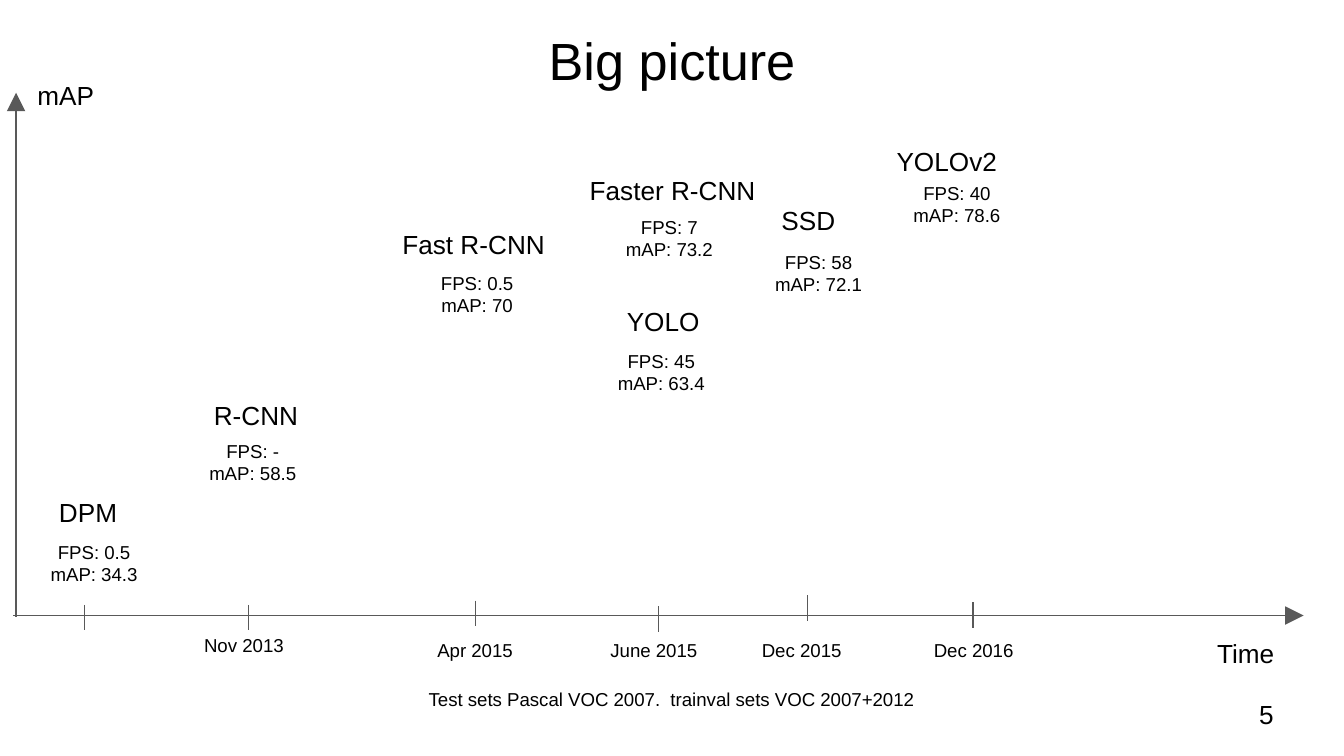
from dataclasses import dataclass

from lxml import etree
from pptx import Presentation
from pptx import util as u
from pptx.dml.color import RGBColor
from pptx.enum import shapes, text
from pptx.oxml import ns

SCALE = 9144
INSET = 10
FONT = "Arial"
COLOURS = {"ink": "000000", "axis": "595959", "paper": "FFFFFF"}
LEFT, CENTRE, RIGHT = text.PP_ALIGN.LEFT, text.PP_ALIGN.CENTER, text.PP_ALIGN.RIGHT
TOP, MIDDLE = text.MSO_ANCHOR.TOP, text.MSO_ANCHOR.MIDDLE


@dataclass(frozen=True)
class Frame:
    left: int
    top: int
    width: int
    height: int


@dataclass(frozen=True)
class Label:
    words: str
    frame: Frame
    size: int = 10
    align: text.PP_ALIGN = CENTRE
    anchor: text.MSO_ANCHOR = TOP
    top_inset: int = INSET


@dataclass(frozen=True)
class Detector:
    name: str
    fps: str
    precision: str
    name_frame: Frame
    stats_left: int
    stats_top: int


@dataclass(frozen=True)
class Line:
    x1: int
    y1: int
    x2: int
    y2: int
    arrow: bool = False


TITLE = Label("Big picture", Frame(34, 11, 932, 63), 28)

DETECTORS = [
    Detector("Fast R-CNN", "0.5", "70", Frame(281, 160, 143, 43), 266, 194),
    Detector("R-CNN", "-", "58.5", Frame(119, 287, 143, 50), 99, 319),
    Detector("Faster R-CNN", "7", "73.2", Frame(424, 120, 153, 73), 409, 152),
    Detector("DPM", "0.5", "34.3", Frame(-6, 359, 143, 43), -19, 394),
    Detector("YOLO", "45", "63.4", Frame(422, 217, 143, 43), 403, 252),
    Detector("SSD", "58", "72.1", Frame(530, 142, 143, 43), 520, 178),
    Detector("YOLOv2", "40", "78.6", Frame(633, 98, 143, 43), 623, 127),
]

LABELS = [
    Label("5", Frame(927, 510, 60, 43), 14, LEFT, MIDDLE),
    Label("mAP", Frame(18, 49, 90, 43), 14, LEFT),
    Label("Time", Frame(868, 448, 90, 50), 14, RIGHT, top_inset=26),
    Label("Nov 2013", Frame(105, 462, 153, 34)),
    Label("Apr 2015", Frame(277, 465, 153, 34)),
    Label("June 2015", Frame(410, 465, 153, 34)),
    Label("Dec 2015", Frame(520, 465, 153, 34)),
    Label("Dec 2016", Frame(685, 449, 90, 50), align=LEFT, top_inset=26),
    Label("Test sets Pascal VOC 2007.  trainval sets VOC 2007+2012",
          Frame(188, 502, 623, 43)),
]

AXES = [Line(10, 458, 970, 458, True), Line(12, 459, 12, 69, True)]
TICK_HEIGHT = 19
TICKS = [(63, 450), (185, 450), (354, 447), (490, 451), (601, 443), (724, 448)]


def px(value: int) -> u.Emu:
    return u.Emu(value * SCALE)


def colour(name: str) -> RGBColor:
    return RGBColor.from_string(COLOURS[name])


def fill_box(box, label: Label) -> None:
    frame = label.frame
    box.left, box.top = px(frame.left), px(frame.top)
    box.width, box.height = px(frame.width), px(frame.height)
    body = box.text_frame
    body.word_wrap = True
    body.auto_size = text.MSO_AUTO_SIZE.NONE
    body.vertical_anchor = label.anchor
    body.margin_left = body.margin_right = body.margin_bottom = px(INSET)
    body.margin_top = px(label.top_inset)
    for index, words in enumerate(label.words.split("\n")):
        para = body.add_paragraph() if index else body.paragraphs[0]
        para.alignment = label.align
        para.space_before = u.Pt(0)
        span = para.add_run()
        span.text = words
        span.font.name = FONT
        span.font.size = u.Pt(label.size)
        span.font.color.rgb = colour("ink")


def draw_label(page, label: Label) -> None:
    fill_box(page.shapes.add_textbox(0, 0, 0, 0), label)


def draw_detector(page, detector: Detector) -> None:
    draw_label(page, Label(detector.name, detector.name_frame, 14))
    stats = f"FPS: {detector.fps}\nmAP: {detector.precision}"
    frame = Frame(detector.stats_left, detector.stats_top, 178, 50)
    draw_label(page, Label(stats, frame, anchor=MIDDLE))


def draw_line(page, line: Line) -> None:
    connector = page.shapes.add_connector(
        shapes.MSO_CONNECTOR.STRAIGHT,
        px(line.x1), px(line.y1), px(line.x2), px(line.y2))
    connector.line.color.rgb = colour("axis")
    connector.line.width = u.Pt(0.75)
    if line.arrow:
        stroke = connector.line._get_or_add_ln()
        etree.SubElement(stroke, ns.qn("a:tailEnd"),
                         type="triangle", w="lg", len="lg")
    etree.SubElement(connector._element.spPr, ns.qn("a:effectLst"))


def main() -> None:
    deck = Presentation()
    deck.slide_width = px(1000)
    deck.slide_height = u.Emu(deck.slide_width * 9 // 16)
    page = deck.slides.add_slide(deck.slide_layouts.get_by_name("Title Only"))
    page.background.fill.solid()
    page.background.fill.fore_color.rgb = colour("paper")
    fill_box(page.shapes.title, TITLE)
    for axis in AXES:
        draw_line(page, axis)
    for x, y in TICKS:
        draw_line(page, Line(x, y, x, y + TICK_HEIGHT))
    for detector in DETECTORS:
        draw_detector(page, detector)
    for label in LABELS:
        draw_label(page, label)
    deck.save("out.pptx")


if __name__ == "__main__":
    main()
